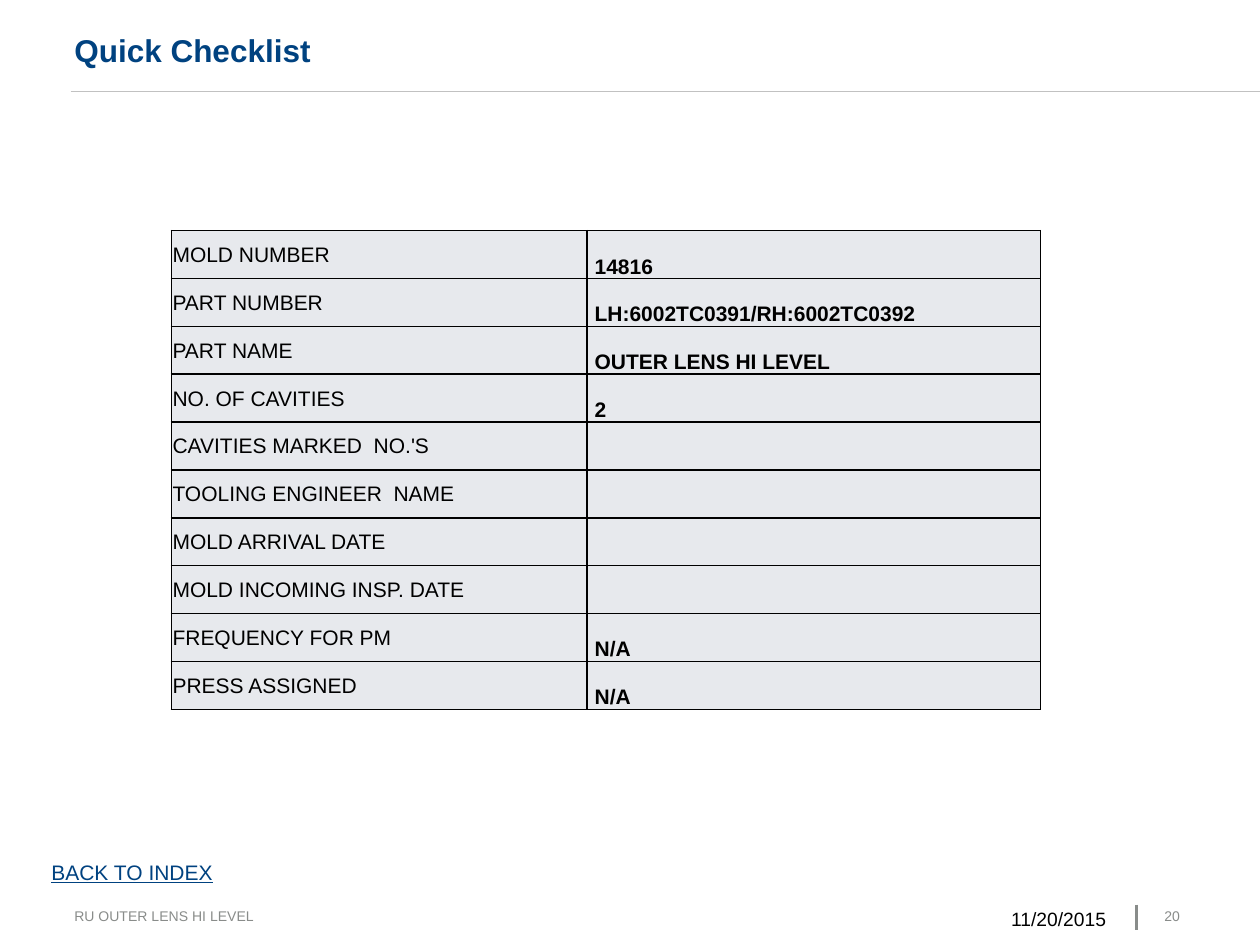
"""Build the Quick Checklist slide with its mold data table."""
from dataclasses import dataclass

from lxml.etree import SubElement
from pptx import Presentation
from pptx.dml.color import RGBColor as Rgb
from pptx.enum.shapes import MSO_CONNECTOR as Connector
from pptx.enum.text import MSO_ANCHOR as Anchor, PP_ALIGN as Align
from pptx.oxml.ns import qn
from pptx.util import Inches, Pt

TITLE = "Quick Checklist"
CHECKLIST = [
    ("MOLD NUMBER", "14816"),
    ("PART NUMBER", "LH:6002TC0391/RH:6002TC0392"),
    ("PART NAME", "OUTER LENS HI LEVEL"),
    ("NO. OF CAVITIES", "2"),
    ("CAVITIES MARKED  NO.'S", ""),
    ("TOOLING ENGINEER  NAME", ""),
    ("MOLD ARRIVAL DATE", ""),
    ("MOLD INCOMING INSP. DATE", ""),
    ("FREQUENCY FOR PM", "N/A"),
    ("PRESS ASSIGNED", "N/A"),
]
BACK_LABEL = "BACK TO INDEX"
PROJECT, DATE, PAGE = "RU OUTER LENS HI LEVEL", "11/20/2015", "20"


@dataclass(frozen=True)
class Theme:
    font: str = "Arial"
    navy: str = "004280"
    black: str = "000000"
    gray: str = "898C8A"
    rule: str = "C1C1C1"
    cell: str = "E7E9ED"
    title: int = 18
    body: int = 12
    date: int = 11
    footer: int = 8


THEME = Theme()
WIDTH, HEIGHT = 10, 7.5
MARGIN = 0.59
FOOTER_TOP = 0.96 * HEIGHT
TABLE_LEFT, TABLE_TOP, ROW_HEIGHT = 1.36, 1.83, 0.38
COLUMNS = (3.3, 3.6)


def write(frame, text, size=THEME.body, color=THEME.black, bold=False,
          underline=False, align=Align.LEFT, spacing=None):
    paragraph = frame.paragraphs[0]
    paragraph.alignment = align
    paragraph.line_spacing = spacing
    if text:
        run = paragraph.add_run()
        run.text = text
        font = run.font
        font.name, font.size = THEME.font, Pt(size)
        font.bold, font.underline = bold, underline
        font.color.rgb = Rgb.from_string(color)


def set_margins(target, left=0, top=0, right=0, bottom=0):
    target.margin_left, target.margin_top = Inches(left), Inches(top)
    target.margin_right, target.margin_bottom = Inches(right), Inches(bottom)


def add_label(slide, text, box, inset=(0, 0, 0, 0), wrap=True, **style):
    frame = slide.shapes.add_textbox(*map(Inches, box)).text_frame
    frame.word_wrap = wrap
    set_margins(frame, *inset)
    write(frame, text, **style)


def add_rule(slide, start, end, color, weight):
    rule = slide.shapes.add_connector(
        Connector.STRAIGHT, *map(Inches, start + end))
    rule.line.color.rgb = Rgb.from_string(color)
    rule.line.width = Pt(weight)
    SubElement(rule.element.spPr, qn("a:effectLst"))


def add_borders(cell):
    properties = cell._tc.get_or_add_tcPr()
    for side in ("lnL", "lnR", "lnT", "lnB"):
        border = SubElement(properties, qn(f"a:{side}"), w=str(Pt(1)))
        fill = SubElement(border, qn("a:solidFill"))
        SubElement(fill, qn("a:srgbClr"), val=THEME.black)


def add_checklist(slide):
    table = slide.shapes.add_table(
        len(CHECKLIST), len(COLUMNS), Inches(TABLE_LEFT), Inches(TABLE_TOP),
        Inches(sum(COLUMNS)), Inches(ROW_HEIGHT * len(CHECKLIST))).table
    table.first_row = table.horz_banding = False
    for column, width in zip(table.columns, COLUMNS):
        column.width = Inches(width)
    formats = ((0.01, Anchor.MIDDLE, False), (0.06, Anchor.BOTTOM, True))
    for row, entry in zip(table.rows, CHECKLIST):
        row.height = Inches(ROW_HEIGHT)
        for cell, text, (indent, anchor, bold) in zip(row.cells, entry, formats):
            add_borders(cell)
            cell.fill.solid()
            cell.fill.fore_color.rgb = Rgb.from_string(THEME.cell)
            cell.vertical_anchor = anchor
            set_margins(cell, indent, 0.01, 0.01)
            write(cell.text_frame, text, bold=bold)


def add_title(slide):
    title = slide.shapes.title
    title.left, title.top = Inches(MARGIN), Inches(0.22)
    title.width, title.height = Inches(6.62), Inches(0.35)
    set_margins(title.text_frame)
    title.text_frame.vertical_anchor = Anchor.MIDDLE
    write(title.text_frame, TITLE, size=THEME.title, color=THEME.navy,
          bold=True, spacing=Pt(22))


def main():
    deck = Presentation()
    deck.slide_width, deck.slide_height = Inches(WIDTH), Inches(HEIGHT)
    slide = deck.slides.add_slide(deck.slide_layouts[5])
    add_rule(slide, (9.02, 7.18), (9.02, 7.38), THEME.gray, 1.5)
    add_rule(slide, (0.56, 0.72), (WIDTH, 0.72), THEME.rule, 0.1)
    add_title(slide)
    add_checklist(slide)
    add_label(slide, DATE, (7.23, FOOTER_TOP, 1.55, 0.23),
              size=THEME.date, align=Align.RIGHT)
    add_label(slide, BACK_LABEL, (0.31, 6.77, 1.5, 0.3),
              inset=(0.1, 0.05, 0.1, 0.05), wrap=False,
              color=THEME.navy, underline=True)
    for text, left, width in ((PROJECT, MARGIN, 4.13), (PAGE, 9.24, 0.35)):
        add_label(slide, text, (left, FOOTER_TOP, width, 0.24),
                  size=THEME.footer, color=THEME.gray)
    deck.save("out.pptx")


if __name__ == "__main__":
    main()
